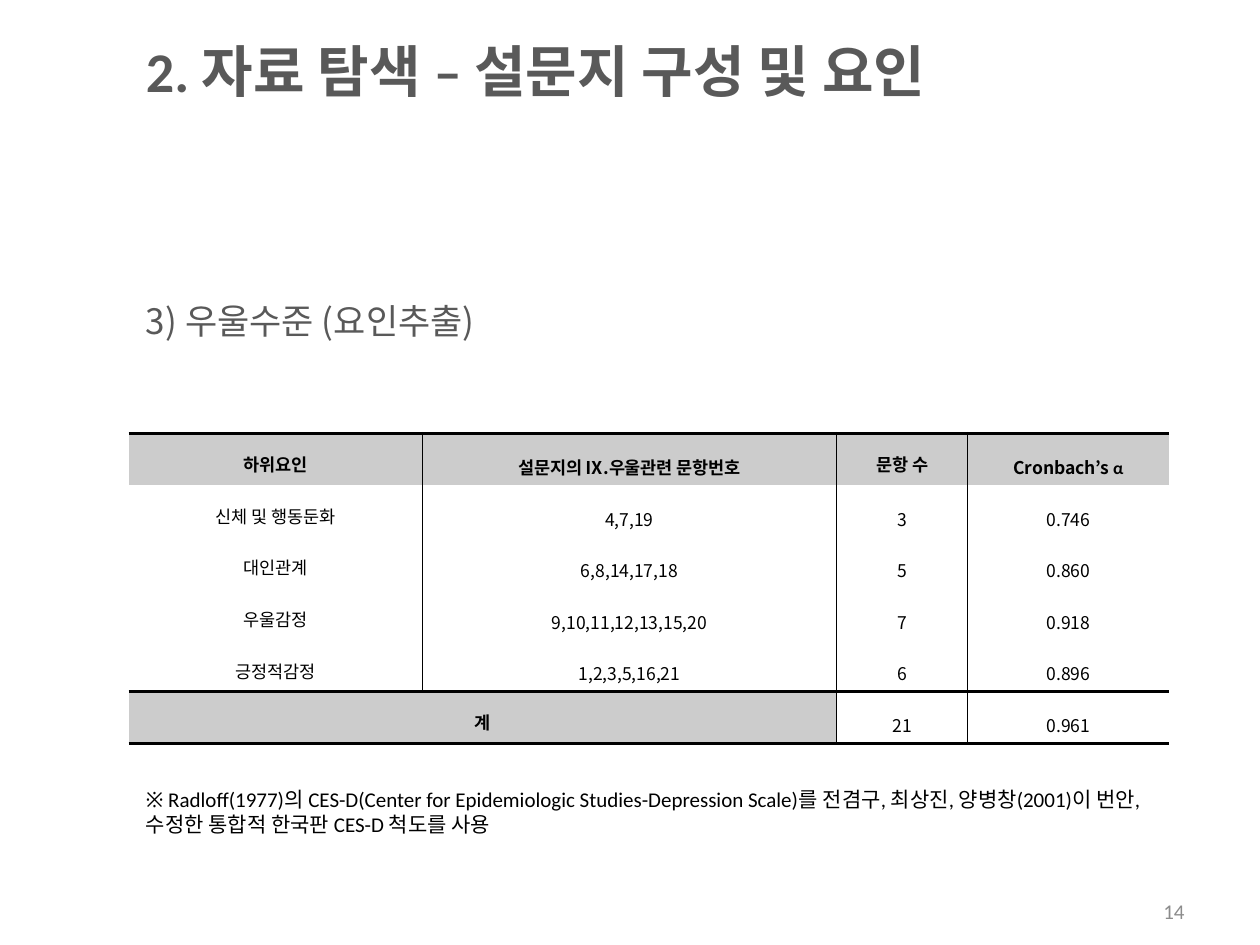
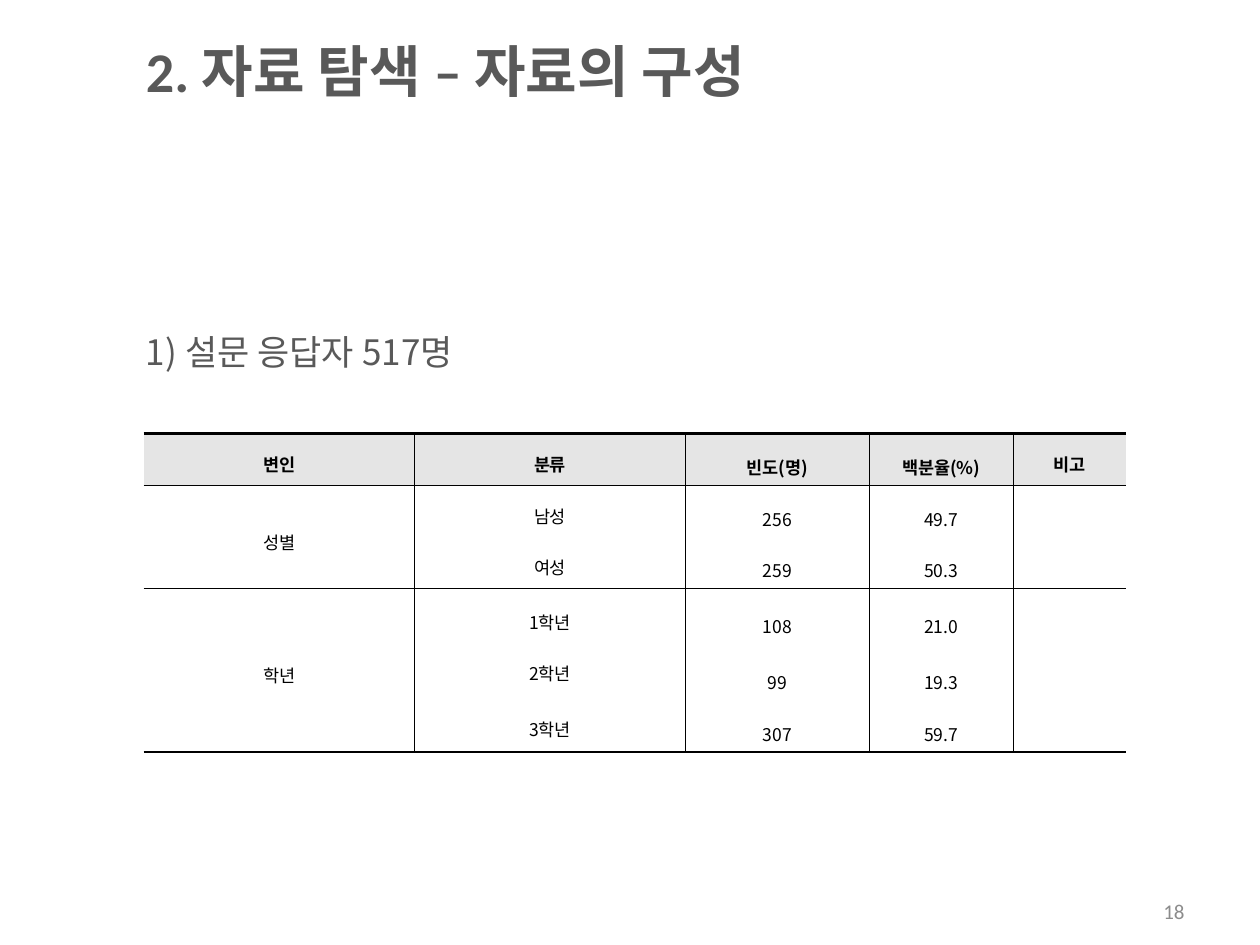
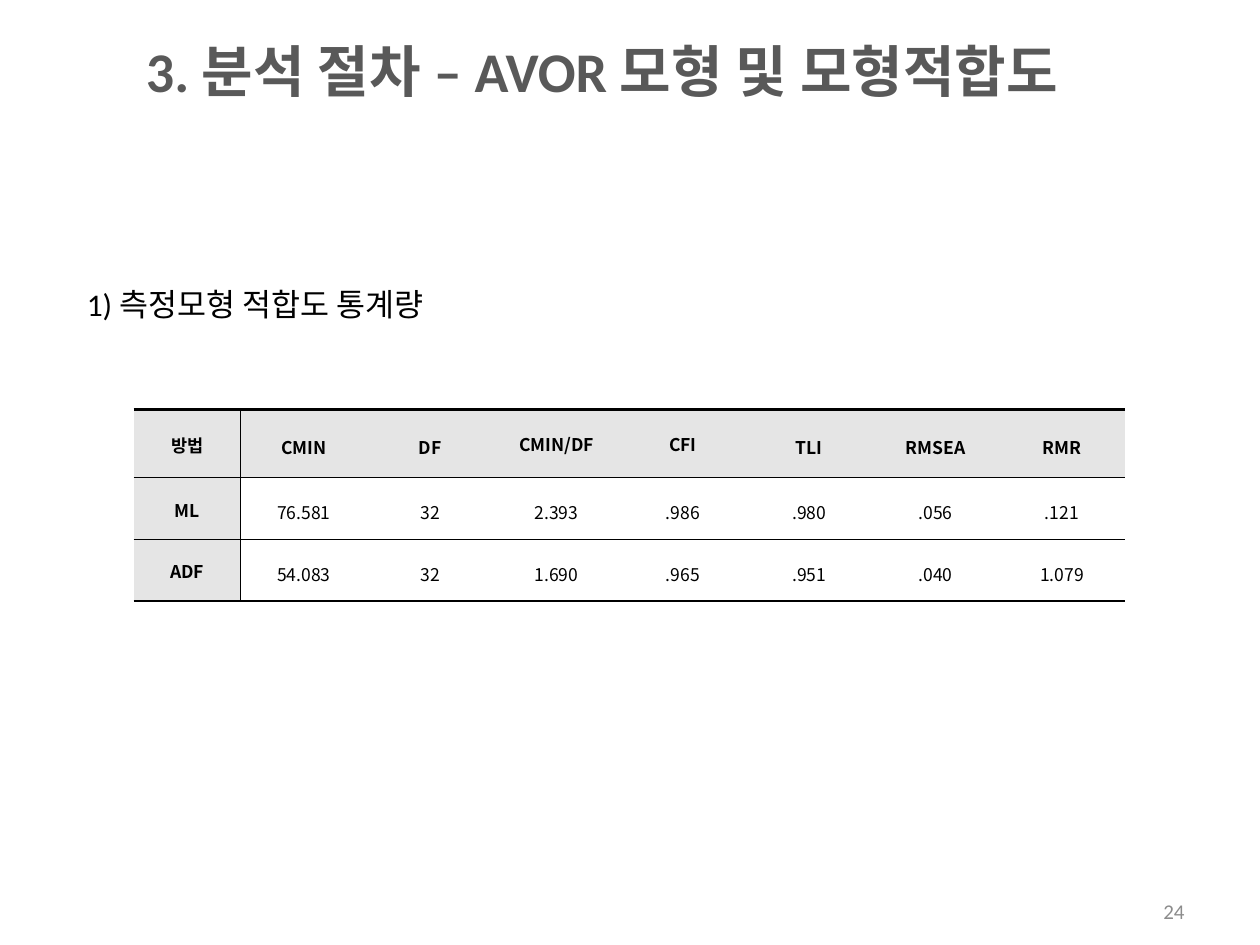
from pptx import Presentation as Deck
from pptx.dml.color import RGBColor as Rgb
from pptx.enum.text import MSO_ANCHOR as Anchor, PP_ALIGN as Align
from pptx.oxml.ns import qn
from pptx.util import Inches, Pt
from lxml.etree import SubElement as Sub

LATIN, NOTO = "Calibri", "Noto Sans CJK KR"
INK, DARK, PALE = "000000", "595959", "8C8C8C"
BARE = "{2D5ABB26-0587-4C30-8999-92F81FD0307C}"
HEAD = dict(size=Pt(32), bold=True, name=LATIN)
TOPIC = dict(size=Pt(20), name=NOTO)
PAGE = dict(size=Pt(12), name=LATIN)
PAD = dict(margin_left=Inches(0.07), margin_right=Inches(0.07),
           margin_top=Inches(0.02), margin_bottom=Inches(0.02),
           vertical_anchor=Anchor.MIDDLE)


def rgb(code):
    return Rgb.from_string(code)


def put(item, form):
    for key, value in form.items():
        setattr(item, key, value)


class Maker:
    """Holds the deck style and draws on the current slide."""

    def __init__(self):
        self.deck = Deck()
        put(self.deck, dict(slide_width=Inches(10), slide_height=Inches(7.5)))

    def page(self, title, num):
        self.slide = self.deck.slides.add_slide(self.deck.slide_layouts[6])
        mid = dict(vertical_anchor=Anchor.MIDDLE)
        self.text((1.06, 0.12, 7.75, 0.87), title, HEAD, DARK, mid)
        self.text((7.17, 7.11, 2.33, 0.24), num, PAGE, PALE, mid,
                  dict(alignment=Align.RIGHT))

    def run(self, para, words, form, color):
        run = para.add_run()
        run.text = words
        put(run.font, form)
        run.font.color.rgb = rgb(color)
        Sub(run.font._element, qn("a:ea")).set("typeface", form["name"])

    def text(self, at, words, form, color, box={}, flow={}):
        frame = self.slide.shapes.add_textbox(*map(Inches, at)).text_frame
        put(frame, dict(word_wrap=True, **box))
        put(frame.paragraphs[0], flow)
        self.run(frame.paragraphs[0], words, form, color)

    def topic(self, top, width, words):
        self.text((1.06, top, width, 0.51), words, TOPIC, DARK)

    def edge(self, cell, tag, width):
        line = Sub(cell._tc.get_or_add_tcPr(), qn("a:" + tag), w=str(int(Pt(width))))
        if width:
            Sub(Sub(line, qn("a:solidFill")), qn("a:srgbClr"), val=INK)
        else:
            Sub(line, qn("a:noFill"))

    def cell(self, cell, words, bold, gap):
        para = cell.text_frame.paragraphs[0]
        put(para, dict(alignment=Align.CENTER, line_spacing=gap))
        for part in filter(None, words.split("|")):
            name = NOTO if part[0].isascii() else LATIN
            self.run(para, part, dict(size=Pt(10), bold=bold, name=name), INK)

    def grid(self, at, cols, rows, data, fill, across, down, gap,
             heads=(), spans={}, gaps={}):
        """Draw a table; across and down map edge numbers to line widths."""
        size = (sum(cols), sum(rows))
        frame = self.slide.shapes.add_table(
            len(rows), len(cols), *map(Inches, at + size))
        table = frame.table
        put(table, dict(first_row=False, horz_banding=False))
        table._tbl.tblPr.find(qn("a:tableStyleId")).text = BARE
        for col, width in zip(table.columns, cols):
            col.width = Inches(width)
        for row, high in zip(table.rows, rows):
            row.height = Inches(high)
        home = {(r + i, c + j): (r, c, r + h, c + w)
                for (r, c), (h, w) in spans.items()
                for i in range(h) for j in range(w)}
        for r, line in enumerate(data):
            for c, words in enumerate(line.split(";")):
                cell = table.cell(r, c)
                put(cell, PAD)
                top, left, base, right = home.get((r, c), (r, c, r + 1, c + 1))
                first = (r, c) == (top, left)
                for tag, rule, end, own in (
                        ("lnL", down, left, c), ("lnR", down, right, c + 1),
                        ("lnT", across, top, r), ("lnB", across, base, r + 1)):
                    shown = first or end == own
                    self.edge(cell, tag, rule.get(end, 0) if shown else 0)
                head = r == 0 or (top, left) in heads
                if head:
                    cell.fill.solid()
                    cell.fill.fore_color.rgb = rgb(fill)
                else:
                    cell.fill.background()
                self.cell(cell, words, head, gaps.get((r, c), gap))
        for (r, c), (h, w) in spans.items():
            table.cell(r, c).merge(table.cell(r + h - 1, c + w - 1))


def factors(mk):
    mk.page("2. 자료 탐색 – 설문지 구성 및 요인", "14")
    mk.topic(2.33, 4.17, "3) 우울수준 (요인추출)")
    data = ["하위요인;설문지의 Ⅸ|.|우울관련 문항번호;문항 수;Cronbach’s |α",
            "신체 및 행동둔화;4,7,19;3;0.746",
            "대인관계;6,8,14,17,18;5;0.860",
            "우울감정;9,10,11,12,13,15,20;7;0.918",
            "긍정적감정;1,2,3,5,16,21;6;0.896",
            "계;;21;0.961"]
    mk.grid((1.02, 3.44), [2.33, 3.29, 1.04, 1.6], [0.41] * 6, data, "CCCCCC",
            dict.fromkeys((0, 5, 6), 1.98), dict.fromkeys((1, 2, 3), 0.28), 1.6,
            heads={(5, 0)}, spans={(5, 0): (1, 2)})
    mk.text((1.06, 6.19, 8.16, 0.71),
            "※ Radloff(1977)의 CES-D(Center for Epidemiologic Studies-Depression "
            "Scale)를 전겸구, 최상진, 양병창(2001)이 번안, 수정한 통합적 한국판 "
            "CES-D 척도를 사용", PAGE, INK)


def sample(mk):
    mk.page("2. 자료 탐색 – 자료의 구성", "18")
    mk.topic(2.57, 5.43, "1) 설문 응답자 517명")
    data = ["변인;분류;빈도|(|명|);백분율|(%);비고",
            "성별;남성;256;49.7;",
            ";여성;259;50.3;",
            "학년;1|학년;108;21.0;",
            ";2|학년;;;",
            ";;99;19.3;",
            ";3|학년;;;",
            ";;307;59.7;"]
    pairs = [(3, 2), (3, 3), (4, 1), (5, 2), (5, 3), (6, 1)]
    spans = {**dict.fromkeys(pairs + [(1, 0), (1, 4)], (2, 1)),
             (3, 0): (5, 1), (3, 4): (5, 1)}
    mk.grid((1.14, 3.44), [2.15, 2.15, 1.46, 1.14, 0.9],
            [0.41] * 4 + [0.07, 0.34, 0.07, 0.41], data, "E5E5E5",
            {0: 1.7, 1: 0.25, 3: 0.28, 8: 1.7},
            dict.fromkeys(range(1, 5), 0.28), 1.6, spans=spans)


def fit(mk):
    mk.page("3. 분석 절차 – AVOR 모형 및 모형적합도", "24")
    mk.text((0.59, 2.21, 3.15, 0.4), "1) 측정모형 적합도 통계량",
            dict(size=Pt(18), name=LATIN), INK)
    data = ["방법;CMIN;DF;CMIN/DF;CFI;TLI;RMSEA;RMR",
            "ML;76.581;32;2.393;.986;.980;.056;.121",
            "ADF;54.083;32;1.690;.965;.951;.040;1.079"]
    mk.grid((1.06, 3.25), [0.85] + [7.02 / 7] * 7, [0.54, 0.49, 0.49], data,
            "E5E5E5", {0: 1.7, 1: 0.25, 2: 0.28, 3: 1.7}, {1: 0.25}, 1.3,
            heads={(1, 0), (2, 0)},
            gaps={(0, 3): 1.0, (0, 4): 1.0, (1, 0): 1.1, (2, 0): 1.1})


def main():
    mk = Maker()
    for draw in (factors, sample, fit):
        draw(mk)
    mk.deck.save("out.pptx")


if __name__ == "__main__":
    main()
